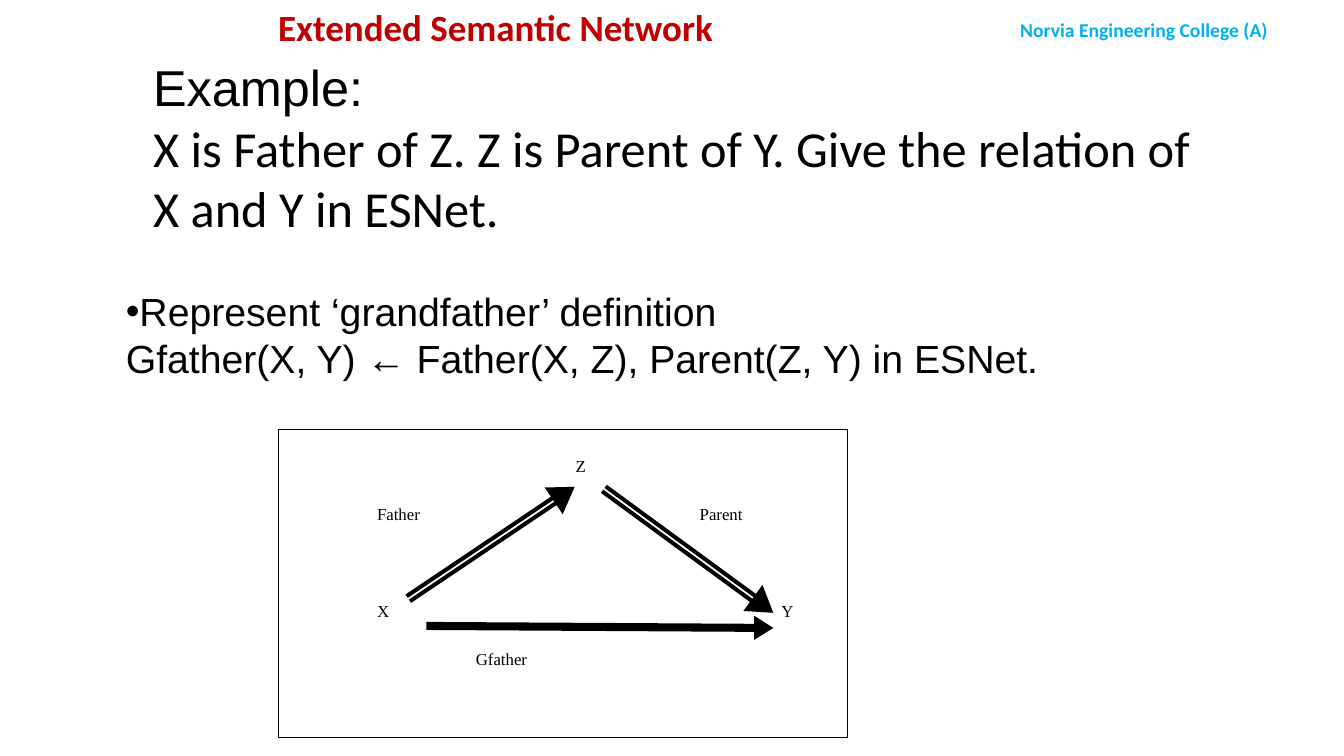
"""Build the Extended Semantic Network slide."""
import math
import lxml.etree
import pptx
import pptx.dml.color
import pptx.enum.shapes
import pptx.oxml.ns
import pptx.util

PX = 9144
SIZE = (1333, 750)
THEME = {
    "ink": "000000",
    "title": {"name": "Calibri", "size": 26.4, "bold": True, "color": "C00000"},
    "school": {"name": "Calibri", "size": 14, "bold": True, "color": "00B0F0"},
    "head": {"name": "Arial", "size": 36, "color": "000000"},
    "task": {"name": "Calibri", "size": 36, "color": "000000"},
    "rule": {"name": "Arial", "size": 28, "color": "000000"},
    "label": {"name": "Times New Roman", "size": 12, "color": "000000"},
}
TEXTS = [
    ((1002, 13, 266, 34), False, [("Norvia Engineering College (A)", "school", {})]),
    ((208, 0, 850, 116), True,
     [("Extended Semantic Network", "title", {"marL": 58})]),
    ((142, 51, 1050, 222), True, [
        ("Example:", "head", {}),
        ("X is Father of Z. Z is Parent of Y. Give the relation of X and Y in ESNet.",
         "task", {})]),
    ((115, 280, 946, 134), True, [
        ("Represent ‘grandfather’ definition", "rule", {"bullet": "•"}),
        ("Gfather(X, Y) ← Father(X, Z), Parent(Z, Y) in ESNet.", "rule", {})]),
]
FRAME = (276, 426, 565, 306)
LABELS = [
    ("Z", 571, 452, 23), ("Father", 374, 500, 86), ("Parent", 694, 500, 86),
    ("X", 374, 596, 26), ("Y", 775, 596, 26), ("Gfather", 472, 644, 103),
]
TWIN = [(-5, -1), (1, 5)]
ARROWS = [
    ((405, 594), (570, 483), TWIN, 25, 16),
    ((599, 485), (767, 608), TWIN, 25, 16),
    ((423, 621), (767, 623), [(-4, 4)], 19, 12),
]


def emu(vals):
    """Turn px into EMU."""
    return [round(v * PX) for v in vals]


def tint(code):
    """Give the colour for a hex code."""
    return pptx.dml.color.RGBColor.from_string(code)


def write(slide, box, wrap, lines, inset=None):
    """Add a text box with styled lines."""
    frame = slide.shapes.add_textbox(*emu(box)).text_frame
    form = {"word_wrap": wrap}
    if inset is not None:
        form.update({"margin_" + side: inset
                     for side in ("left", "top", "right", "bottom")})
    for key, val in form.items():
        setattr(frame, key, val)
    for num, (text, style, extra) in enumerate(lines):
        para = frame.add_paragraph() if num else frame.paragraphs[0]
        run = para.add_run()
        run.text = text
        look = dict(THEME[style])
        run.font.color.rgb = tint(look.pop("color"))
        look["size"] = pptx.util.Pt(look["size"])
        for key, val in look.items():
            setattr(run.font, key, val)
        props = para._p.get_or_add_pPr()
        if "marL" in extra:
            props.set("marL", str(extra["marL"] * PX))
        if "bullet" in extra:
            for tag, key, val in (("a:buFont", "typeface", look["name"]),
                                  ("a:buChar", "char", extra["bullet"])):
                mark = lxml.etree.SubElement(props, pptx.oxml.ns.qn(tag))
                mark.set(key, val)


def rings(tail, tip, bars, head, half):
    """List the outlines of one arrow: its head, then its bars."""
    span = math.dist(tail, tip)
    ux, uy = [(b - a) / span for a, b in zip(tail, tip)]

    def spot(along, side):
        """Place a point along and beside the arrow."""
        return emu((tail[0] + ux * along - uy * side,
                    tail[1] + uy * along + ux * side))

    base = span - head
    return [[spot(span, 0), spot(base, -half), spot(base, half)]] + [
        [spot(0, low), spot(base, low), spot(base, high), spot(0, high)]
        for low, high in bars]


def draw(slide):
    """Draw all arrows as one solid outline."""
    loops = [ring for item in ARROWS for ring in rings(*item)]
    pen = slide.shapes.build_freeform(*loops[0][0], scale=1.0)
    for num, (start, *rest) in enumerate(loops):
        if num:
            pen.move_to(*start)
        pen.add_line_segments(rest, close=True)
    shape = pen.convert_to_shape()
    shape.shadow.inherit = False
    shape.fill.solid()
    shape.fill.fore_color.rgb = tint(THEME["ink"])
    shape.line.fill.background()


def main():
    """Make the deck and save it."""
    deck = pptx.Presentation()
    deck.slide_width, deck.slide_height = emu(SIZE)
    slide = deck.slides.add_slide(deck.slide_layouts[6])
    for box, wrap, lines in TEXTS:
        write(slide, box, wrap, lines)
    draw(slide)
    frame = slide.shapes.add_shape(
        pptx.enum.shapes.MSO_SHAPE.RECTANGLE, *emu(FRAME))
    frame.shadow.inherit = False
    frame.fill.background()
    frame.line.color.rgb = tint(THEME["ink"])
    frame.line.width = pptx.util.Pt(0.75)
    for text, left, top, width in LABELS:
        write(slide, (left, top, width, 46), True, [(text, "label", {})], 0)
    deck.save("out.pptx")


if __name__ == "__main__":
    main()
